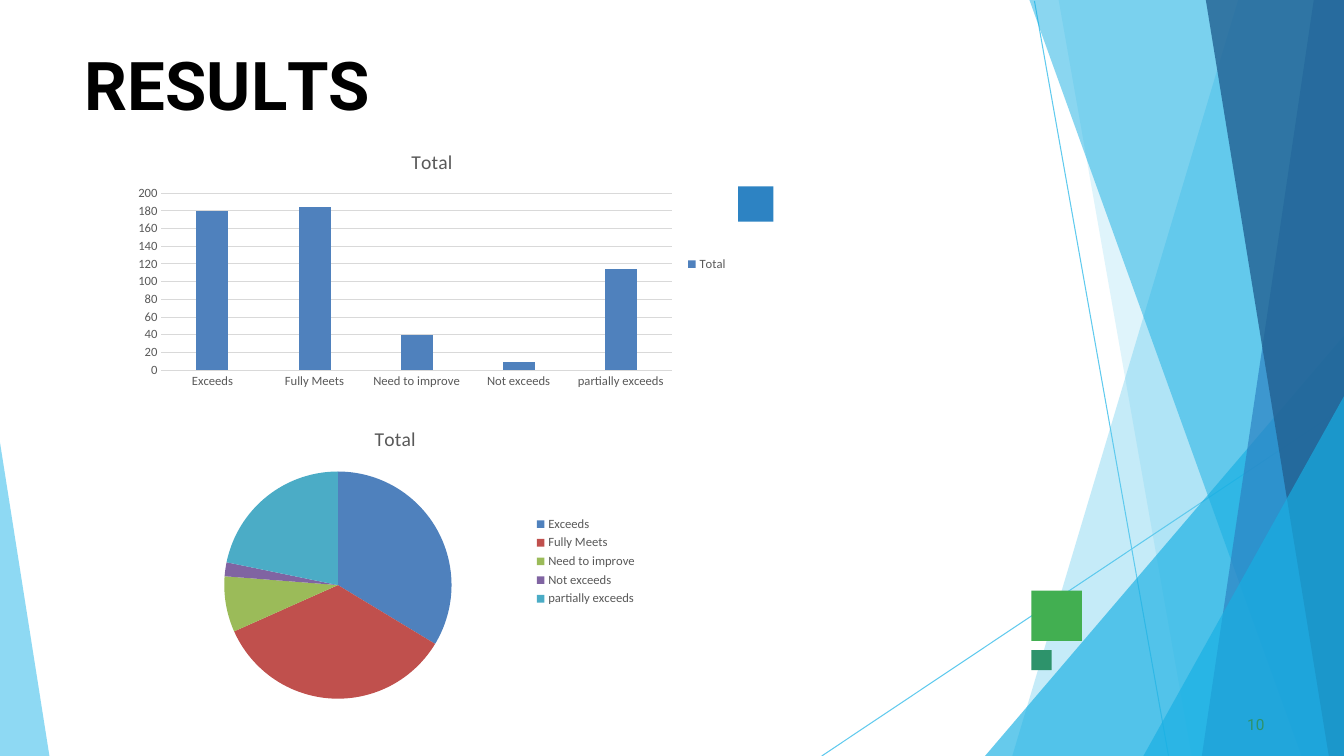
from typing import NamedTuple

from lxml.etree import SubElement
from pptx import Presentation
from pptx.chart.chart import Chart
from pptx.chart.data import CategoryChartData
from pptx.dml.color import RGBColor
from pptx.enum.chart import XL_CHART_TYPE, XL_LEGEND_POSITION, XL_TICK_MARK
from pptx.enum.shapes import MSO_CONNECTOR, MSO_SHAPE
from pptx.enum.text import MSO_ANCHOR, MSO_AUTO_SIZE, PP_ALIGN
from pptx.oxml.ns import qn
from pptx.shapes.base import BaseShape
from pptx.slide import Slide
from pptx.text.text import Font, TextFrame
from pptx.util import Inches, Pt

COLS, ROWS = 13.33, 7.5
WIDE, HIGH = Inches(13.33), Inches(7.5)

BLACK = RGBColor(0x00, 0x00, 0x00)
GRAY = RGBColor(0x59, 0x59, 0x59)
RULE = RGBColor(0xD9, 0xD9, 0xD9)
SKY = RGBColor(0x5F, 0xCA, 0xEE)
CYAN = RGBColor(0x17, 0xAF, 0xE3)
BLUE = RGBColor(0x2D, 0x83, 0xC3)
NAVY = RGBColor(0x22, 0x61, 0x92)
GREEN = RGBColor(0x42, 0xAF, 0x51)
TEAL = RGBColor(0x2D, 0x93, 0x6B)
STEEL = RGBColor(0x4F, 0x81, 0xBD)
RED = RGBColor(0xC0, 0x50, 0x4D)
LIME = RGBColor(0x9B, 0xBB, 0x59)
PLUM = RGBColor(0x80, 0x64, 0xA2)
AQUA = RGBColor(0x4B, 0xAC, 0xC6)

Point = tuple[float, float]


class Box(NamedTuple):
    left: float
    top: float
    width: float
    height: float


class Line(NamedTuple):
    start: Point
    end: Point


class Shard(NamedTuple):
    points: list[Point]
    color: RGBColor
    alpha: int


class Block(NamedTuple):
    box: Box
    color: RGBColor


class Graph(NamedTuple):
    kind: XL_CHART_TYPE
    box: Box
    values: list[int]


class Glyph(NamedTuple):
    text: str
    space: int


LINES = [
    Line((10.26, 0.01), (11.59, ROWS)),
    Line((COLS, 4.04), (8.15, ROWS)),
]


def band(top: float, foot: float) -> list[Point]:
    return [(COLS, 0), (top, 0), (foot, ROWS), (COLS, ROWS)]


def wedge(peak: float, foot: float) -> list[Point]:
    return [(COLS, peak), (foot, ROWS), (COLS, ROWS)]


SHARDS = [
    Shard(band(12.28, 10.04), SKY, 36),
    Shard(band(10.5, 11.82), SKY, 20),
    Shard(wedge(3.33, 9.77), CYAN, 66),
    Shard(band(10.21, 12.91), CYAN, 50),
    Shard(band(13.03, 11.92), BLUE, 70),
    Shard(band(11.96, 13.18), NAVY, 80),
    Shard(wedge(3.93, 11.34), CYAN, 66),
    Shard([(0, 4.39), (0, ROWS), (0.49, ROWS)], SKY, 70),
]
BLOCKS = [
    Block(Box(10.23, 5.86, 0.5, 0.5), GREEN),
    Block(Box(7.32, 1.85, 0.35, 0.35), BLUE),
    Block(Box(10.23, 6.45, 0.2, 0.2), TEAL),
]
NAMES = ["Exceeds", "Fully Meets", "Need to improve", "Not exceeds", "partially exceeds"]
TINTS = [STEEL, RED, LIME, PLUM, AQUA]
BARS = Graph(XL_CHART_TYPE.COLUMN_CLUSTERED, Box(1.25, 1.33, 6.07, 2.58), [180, 184, 40, 9, 114])
PIE = Graph(XL_CHART_TYPE.PIE, Box(1.42, 4.07, 5, 3), [34, 35, 8, 2, 22])
GLYPHS = [
    Glyph("R", 0), Glyph("E", -40), Glyph("S", 10),
    Glyph("U", -30), Glyph("L", -400), Glyph("TS", 0),
]


def col(count: float) -> int:
    return round(WIDE * count / COLS)


def row(count: float) -> int:
    return round(HIGH * count / ROWS)


def place(box: Box) -> tuple[int, int, int, int]:
    return col(box.left), row(box.top), col(box.width), row(box.height)


def style(font: Font, name: str, size: float, color: RGBColor, bold: bool = False) -> None:
    font.name, font.size, font.bold = name, Pt(size), bold
    font.color.rgb = color


def paint(shape: BaseShape, color: RGBColor) -> None:
    shape.shadow.inherit = False
    shape.fill.solid()
    shape.fill.fore_color.rgb = color
    shape.line.fill.background()


def draw_line(slide: Slide, line: Line) -> None:
    (left, top), (right, foot) = line
    edge = slide.shapes.add_connector(
        MSO_CONNECTOR.STRAIGHT, col(left), row(top), col(right), row(foot))
    edge.line.color.rgb = SKY
    edge.line.width = Pt(0.75)
    SubElement(edge.element.spPr, qn("a:effectLst"))


def draw_shard(slide: Slide, shard: Shard) -> None:
    first, *rest = [(col(x), row(y)) for x, y in shard.points]
    pen = slide.shapes.build_freeform(*first)
    pen.add_line_segments(rest, close=True)
    shape = pen.convert_to_shape()
    paint(shape, shard.color)
    fill = shape.element.spPr.find(qn("a:solidFill"))
    SubElement(fill[0], qn("a:alpha"), val=str(shard.alpha * 1000))


def draw_block(slide: Slide, block: Block) -> None:
    paint(slide.shapes.add_shape(MSO_SHAPE.RECTANGLE, *place(block.box)), block.color)


def set_frame(frame: TextFrame, before: float) -> None:
    frame.margin_left = frame.margin_right = frame.margin_bottom = 0
    frame.margin_top = row(0.01)
    frame.word_wrap = True
    frame.vertical_anchor = MSO_ANCHOR.TOP
    frame.auto_size = MSO_AUTO_SIZE.SHAPE_TO_FIT_TEXT
    frame.paragraphs[0].alignment = PP_ALIGN.LEFT
    frame.paragraphs[0].space_before = Pt(before)


def draw_title(slide: Slide) -> None:
    title = slide.shapes.title
    title.left, title.top, title.width, title.height = place(Box(0.84, 0.42, 5.23, 0.81))
    set_frame(title.text_frame, 1.1)
    for glyph in GLYPHS:
        run = title.text_frame.paragraphs[0].add_run()
        run.text = glyph.text
        style(run.font, "Roboto", 48, BLACK, True)
    for mark, glyph in zip(title.element.iter(qn("a:rPr")), GLYPHS):
        mark.set("spc", str(glyph.space))


def draw_page(slide: Slide) -> None:
    page = slide.shapes.add_textbox(*place(Box(12.37, 7.08, 0.21, 0.21)))
    page.text_frame.text = "10"
    set_frame(page.text_frame, 0.6)
    style(page.text_frame.paragraphs[0].runs[0].font, "Roboto", 11, TEAL)


def draw_graph(slide: Slide, graph: Graph) -> Chart:
    data = CategoryChartData()
    data.categories = NAMES
    data.add_series("Total", graph.values)
    chart = slide.shapes.add_chart(graph.kind, *place(graph.box), data).chart
    style(chart.font, "Calibri", 10, BLACK)
    chart.has_title = True
    title = chart.chart_title.text_frame
    title.text = "Total"
    style(title.paragraphs[0].runs[0].font, "Calibri", 14, GRAY)
    chart.has_legend = True
    chart.legend.position = XL_LEGEND_POSITION.RIGHT
    chart.legend.include_in_layout = False
    style(chart.legend.font, "Calibri", 9, GRAY)
    return chart


def draw_bars(slide: Slide) -> None:
    chart = draw_graph(slide, BARS)
    plot = chart.plots[0]
    plot.vary_by_categories = False
    plot.gap_width, plot.overlap = 219, -27
    fill = plot.series[0].format.fill
    fill.solid()
    fill.fore_color.rgb = STEEL
    for axis in (chart.category_axis, chart.value_axis):
        axis.major_tick_mark = axis.minor_tick_mark = XL_TICK_MARK.NONE
        style(axis.tick_labels.font, "Calibri", 9, GRAY)
    chart.value_axis.format.line.fill.background()
    for line in (chart.category_axis.format.line, chart.value_axis.major_gridlines.format.line):
        line.color.rgb = RULE
        line.width = Pt(0.75)


def draw_pie(slide: Slide) -> None:
    plot = draw_graph(slide, PIE).plots[0]
    plot.vary_by_categories = True
    for spot, tint in enumerate(TINTS):
        fill = plot.series[0].points[spot].format.fill
        fill.solid()
        fill.fore_color.rgb = tint


def main() -> None:
    deck = Presentation()
    deck.slide_width, deck.slide_height = WIDE, HIGH
    slide = deck.slides.add_slide(deck.slide_layouts[5])
    for line in LINES:
        draw_line(slide, line)
    for shard in SHARDS:
        draw_shard(slide, shard)
    for block in BLOCKS:
        draw_block(slide, block)
    draw_title(slide)
    draw_page(slide)
    draw_bars(slide)
    draw_pie(slide)
    deck.save("out.pptx")


if __name__ == "__main__":
    main()
